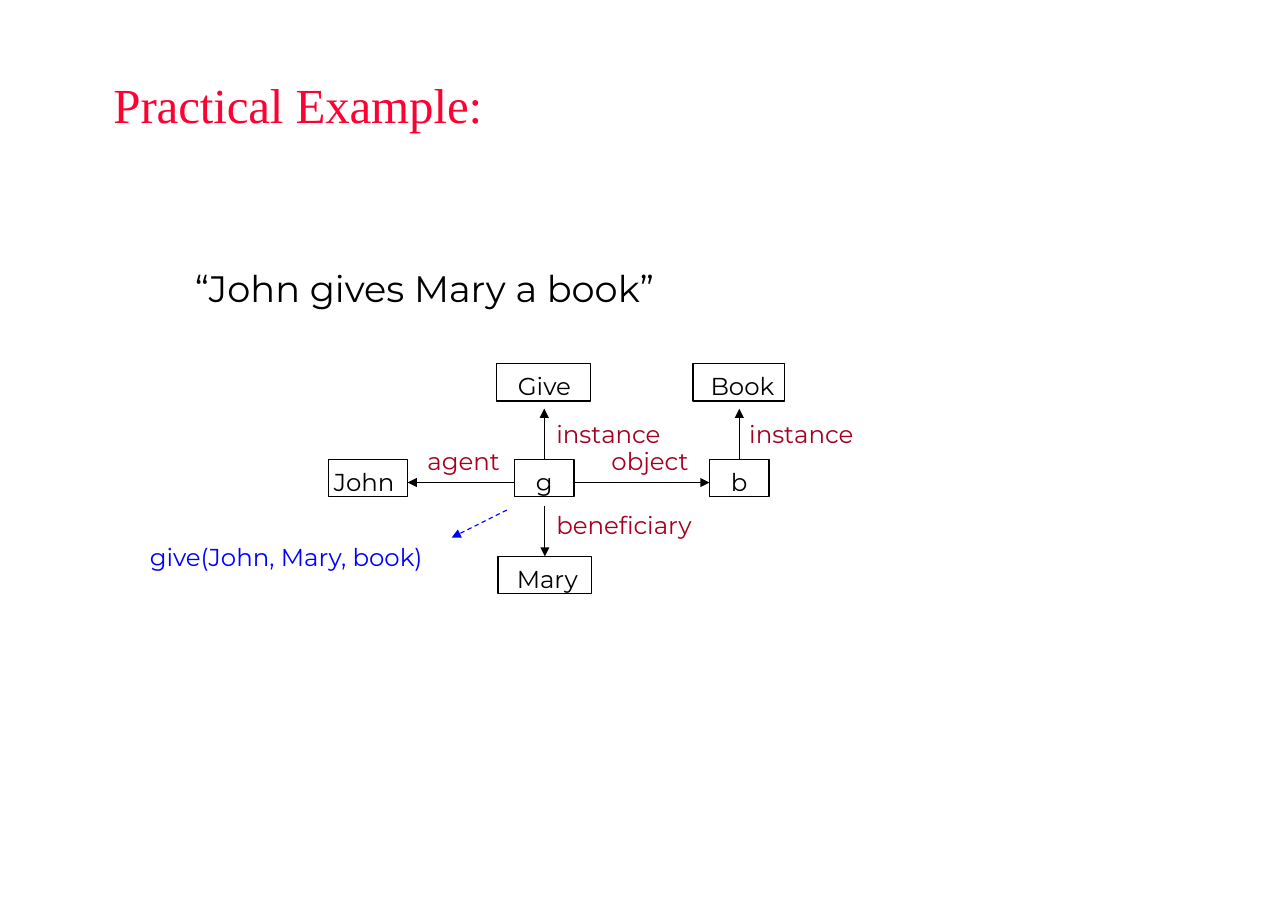
from pptx import Presentation
from pptx.dml.color import RGBColor
from pptx.enum.dml import MSO_LINE_DASH_STYLE as DASH
from pptx.enum.shapes import MSO_CONNECTOR, MSO_SHAPE
from pptx.enum.text import PP_ALIGN
from pptx.oxml.ns import qn
from pptx.util import Inches, Pt
from lxml.etree import SubElement

BLACK = RGBColor(0x00, 0x00, 0x00)
RED = RGBColor(0xFF, 0x00, 0x32)
CRIMSON = RGBColor(0xA5, 0x00, 0x20)
BLUE = RGBColor(0x00, 0x00, 0xFF)
SANS, SERIF = "Montserrat", "Times New Roman"
TOP, RIGHT = 0, 3
NODE_HEIGHT = 0.34
ARROW_Y = 4.38

TITLE = ("Practical Example:", 1.02, 0.67, 3.65, 0.55)
SENTENCE = ("“John gives Mary a book”", 1.76, 2.4, 4.99, 0.42)
PREDICATE = ("give(John, Mary, book)", 1.35, 4.91, 2.79, 0.28)

# text: left, top, width, indent (None centres the text)
NODES = {
    "John": (2.98, 4.17, 0.72, 0.05),
    "g": (4.67, 4.17, 0.54, None),
    "b": (6.44, 4.17, 0.54, None),
    "Give": (4.51, 3.3, 0.85, 0.19),
    "Book": (6.29, 3.3, 0.83, 0.16),
    "Mary": (4.52, 5.05, 0.85, 0.17),
}
RELATIONS = [
    ("agent", 3.87, 4.04, 0.76, 0.28),
    ("object", 5.54, 4.04, 0.85, 0.28),
    ("instance", 5.04, 3.79, 1.17, 0.28),
    ("instance", 6.79, 3.79, 1.29, 0.28),
    ("beneficiary", 5.04, 4.62, 1.4, 0.28),
]


def write(shape, text, size, color, font=SANS, indent=0.01, inset=0.01):
    frame = shape.text_frame
    frame.word_wrap = True
    frame.margin_left = frame.margin_right = frame.margin_bottom = 0
    frame.margin_top = Inches(inset)
    paragraph = frame.paragraphs[0]
    if indent is None:
        paragraph.alignment = PP_ALIGN.CENTER
    else:
        paragraph.alignment = PP_ALIGN.LEFT
        properties = paragraph._p.get_or_add_pPr()
        properties.set("marL", str(Inches(indent)))
        properties.set("indent", "0")
    run = paragraph.add_run()
    run.text = text
    run.font.name = font
    run.font.size = Pt(size)
    run.font.color.rgb = color
    return run


def add_label(slide, label, size, color, font=SANS):
    text, *box = label
    shape = slide.shapes.add_textbox(*map(Inches, box))
    return write(shape, text, size, color, font)


def add_node(slide, text, left, top, width, indent):
    box = map(Inches, (left, top, width, NODE_HEIGHT))
    shape = slide.shapes.add_shape(MSO_SHAPE.RECTANGLE, *box)
    shape.shadow.inherit = False
    shape.fill.background()
    shape.line.color.rgb = BLACK
    shape.line.width = Pt(0.75)
    shape.text_frame.vertical_anchor = 1
    write(shape, text, 16, BLACK, indent=indent, inset=0.07)
    return shape


def add_arrow(slide, start, end, color=BLACK):
    points = map(Inches, (*start, *end))
    arrow = slide.shapes.add_connector(MSO_CONNECTOR.STRAIGHT, *points)
    arrow.line.color.rgb = color
    arrow.line.width = Pt(0.75)
    SubElement(arrow.line._get_or_add_ln(), qn("a:tailEnd"), type="triangle")
    SubElement(arrow._element.spPr, qn("a:effectLst"))
    return arrow


def middle(name):
    left, _, width, _ = NODES[name]
    return left + width / 2


def right(name):
    left, _, width, _ = NODES[name]
    return left + width


def main():
    presentation = Presentation()
    presentation.slide_width = Inches(11.69)
    presentation.slide_height = Inches(8.26)
    slide = presentation.slides.add_slide(presentation.slide_layouts[6])

    title = add_label(slide, TITLE, 32, RED, SERIF)
    title._r.get_or_add_rPr().set("spc", "-10")
    add_label(slide, SENTENCE, 24, BLACK)
    add_label(slide, PREDICATE, 16, BLUE)
    for relation in RELATIONS:
        add_label(slide, relation, 16, CRIMSON)
    nodes = {name: add_node(slide, name, *place) for name, place in NODES.items()}

    for name in ("g", "b"):
        x, top = middle(name), NODES[name][1]
        add_arrow(slide, (x, top), (x, 3.71)).begin_connect(nodes[name], TOP)
    x = middle("Mary")
    add_arrow(slide, (x, 4.59), (x, NODES["Mary"][1])).end_connect(nodes["Mary"], TOP)
    add_arrow(slide, (NODES["g"][0], ARROW_Y), (right("John"), ARROW_Y))
    add_arrow(slide, (right("g"), ARROW_Y), (NODES["b"][0], ARROW_Y))
    add_arrow(slide, (4.6, 4.63), (4.1, 4.88), BLUE).line.dash_style = DASH.DASH

    presentation.save("out.pptx")


if __name__ == "__main__":
    main()
